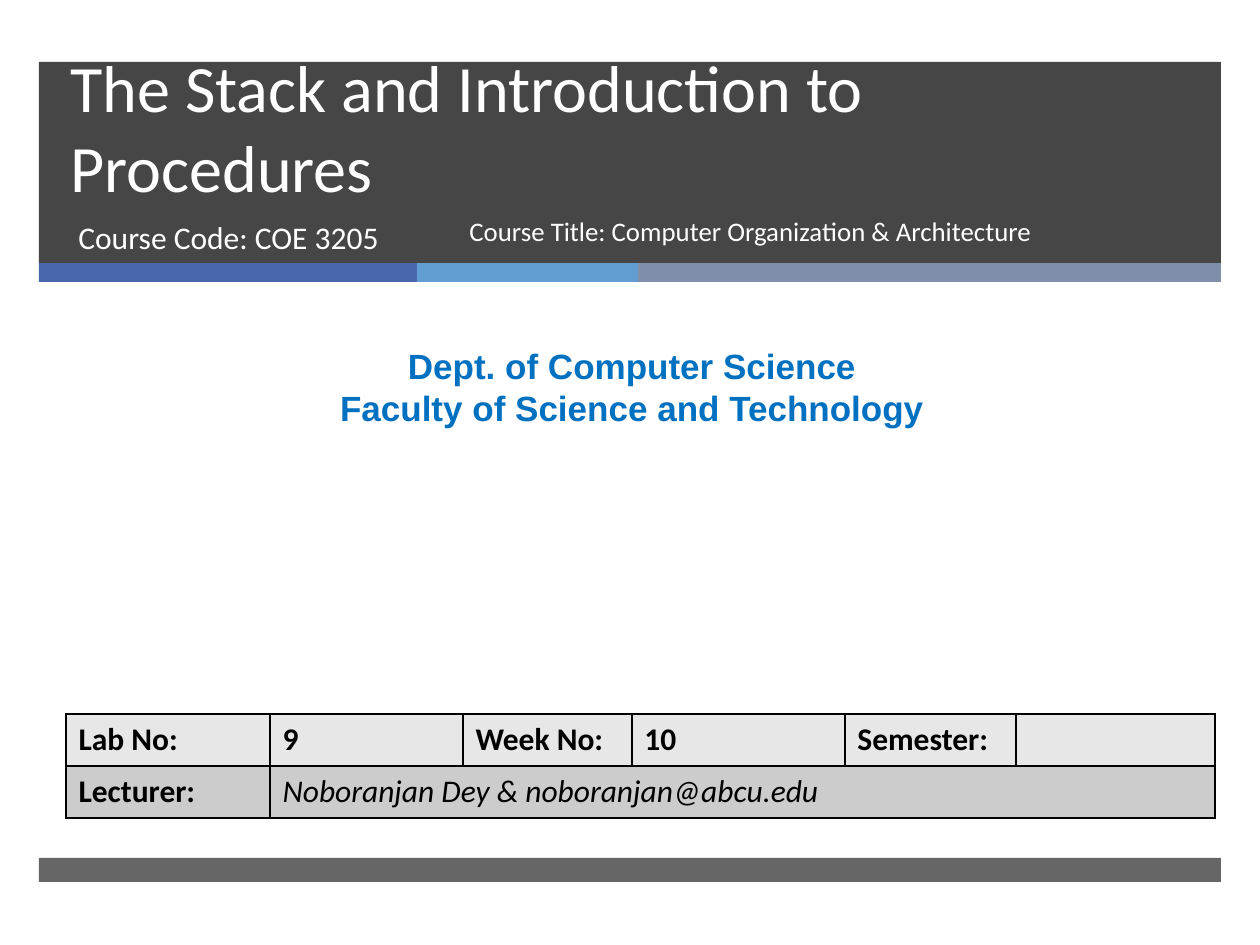
from lxml import etree
from pptx import Presentation
from pptx.dml.color import RGBColor
from pptx.enum.shapes import MSO_SHAPE
from pptx.enum.text import MSO_ANCHOR, PP_ALIGN
from pptx.oxml.ns import qn
from pptx.util import Emu, Pt

SCALE = 914400 / 126
DARK = RGBColor(0x26, 0x26, 0x26)
INDIGO = RGBColor(0x4A, 0x66, 0xAC)
SKY = RGBColor(0x62, 0x9D, 0xD1)
SLATE = RGBColor(0x7F, 0x8F, 0xA9)
BLUE = RGBColor(0x00, 0x70, 0xC0)
LIGHT = RGBColor(0xE7, 0xE7, 0xE7)
GREY = RGBColor(0xCC, 0xCC, 0xCC)
WHITE = RGBColor(0xFF, 0xFF, 0xFF)
BLACK = RGBColor(0x00, 0x00, 0x00)

ROWS = [
    ["Lab No:", "9", "Week No:", "10", "Semester:", ""],
    ["Lecturer:", "Noboranjan Dey & noboranjan@abcu.edu"],
]
COLUMNS = [204, 193, 169, 213, 171, 199]
ROW_HEIGHT = 52


def px(n):
    """Turn pixels into EMU."""
    return Emu(round(n * SCALE))


def write(tf, text, size=18, font="Calibri", color=WHITE, bold=False,
          italic=False, align=PP_ALIGN.LEFT, spacing=None):
    """Fill a text frame, one paragraph per line of text."""
    for i, line in enumerate(text.split("\n")):
        p = tf.add_paragraph() if i else tf.paragraphs[0]
        p.alignment = align
        if spacing:
            p.line_spacing = spacing
        r = p.add_run()
        r.text = line
        r.font.size, r.font.name = Pt(size), font
        r.font.bold, r.font.italic = bold, italic
        r.font.color.rgb = color


def add_bar(s, x, y, w, h, color, opacity=100):
    """Draw a plain filled rectangle."""
    sp = s.shapes.add_shape(MSO_SHAPE.RECTANGLE, px(x), px(y), px(w), px(h))
    sp.shadow.inherit = False
    sp.fill.solid()
    sp.fill.fore_color.rgb = color
    sp.line.fill.background()
    if opacity < 100:
        clr = sp.fill._xPr.find(qn("a:solidFill"))[0]
        etree.SubElement(clr, qn("a:alpha"), val=str(opacity * 1000))


def add_text(s, x, y, w, h, text, anchor=MSO_ANCHOR.TOP, **style):
    """Add a wrapping text box."""
    tf = s.shapes.add_textbox(px(x), px(y), px(w), px(h)).text_frame
    tf.word_wrap = True
    tf.vertical_anchor = anchor
    write(tf, text, **style)


def set_borders(cell):
    """Give a cell thin black lines on all four sides."""
    tc_pr = cell._tc.get_or_add_tcPr()
    for i, side in enumerate(("lnL", "lnR", "lnT", "lnB")):
        ln = etree.Element(qn(f"a:{side}"), w=str(Pt(1)))
        fill = etree.SubElement(ln, qn("a:solidFill"))
        etree.SubElement(fill, qn("a:srgbClr"), val=str(BLACK))
        tc_pr.insert(i, ln)


def add_lab_table(s, x, y):
    """Add the table of lab details."""
    table = s.shapes.add_table(len(ROWS), len(COLUMNS), px(x), px(y),
                               px(sum(COLUMNS)), px(ROW_HEIGHT * len(ROWS))).table
    for column, width in zip(table.columns, COLUMNS):
        column.width = px(width)
    for i, (texts, color) in enumerate(zip(ROWS, (LIGHT, GREY))):
        table.rows[i].height = px(ROW_HEIGHT)
        for j in range(len(COLUMNS)):
            cell = table.cell(i, j)
            cell.fill.solid()
            cell.fill.fore_color.rgb = color
            set_borders(cell)
        for j, text in enumerate(texts):
            if text:
                lecturer = (i, j) == (1, 1)
                write(table.cell(i, j).text_frame, text, color=BLACK,
                      bold=not lecturer, italic=lecturer)
    table.cell(1, 1).merge(table.cell(1, len(COLUMNS) - 1))


def main():
    """Build the title slide."""
    prs = Presentation()
    prs.slide_width, prs.slide_height = px(1260), px(945)
    s = prs.slides.add_slide(prs.slide_layouts[6])
    add_bar(s, 39, 62, 1182, 202, DARK, opacity=85)
    x = 39
    for width, color in ((378, INDIGO), (221, SKY), (583, SLATE)):
        add_bar(s, x, 263, width, 19, color)
        x += width
    add_bar(s, 39, 858, 1182, 24, DARK, opacity=70)
    add_text(s, 58, 62, 1076, 150, "The Stack and Introduction to Procedures",
             anchor=MSO_ANCHOR.BOTTOM, size=37.8, spacing=Pt(46))
    add_text(s, 66, 212, 384, 67, "Course Code: COE 3205")
    add_text(s, 10, 338, 1244, 97,
             "Dept. of Computer Science\nFaculty of Science and Technology",
             size=20, font="Arial", color=BLUE, bold=True, align=PP_ALIGN.CENTER)
    add_lab_table(s, 66, 714)
    add_text(s, 457, 212, 591, 67,
             "Course Title: Computer Organization & Architecture",
             size=15.3, spacing=0.9)
    prs.save("out.pptx")


if __name__ == "__main__":
    main()
